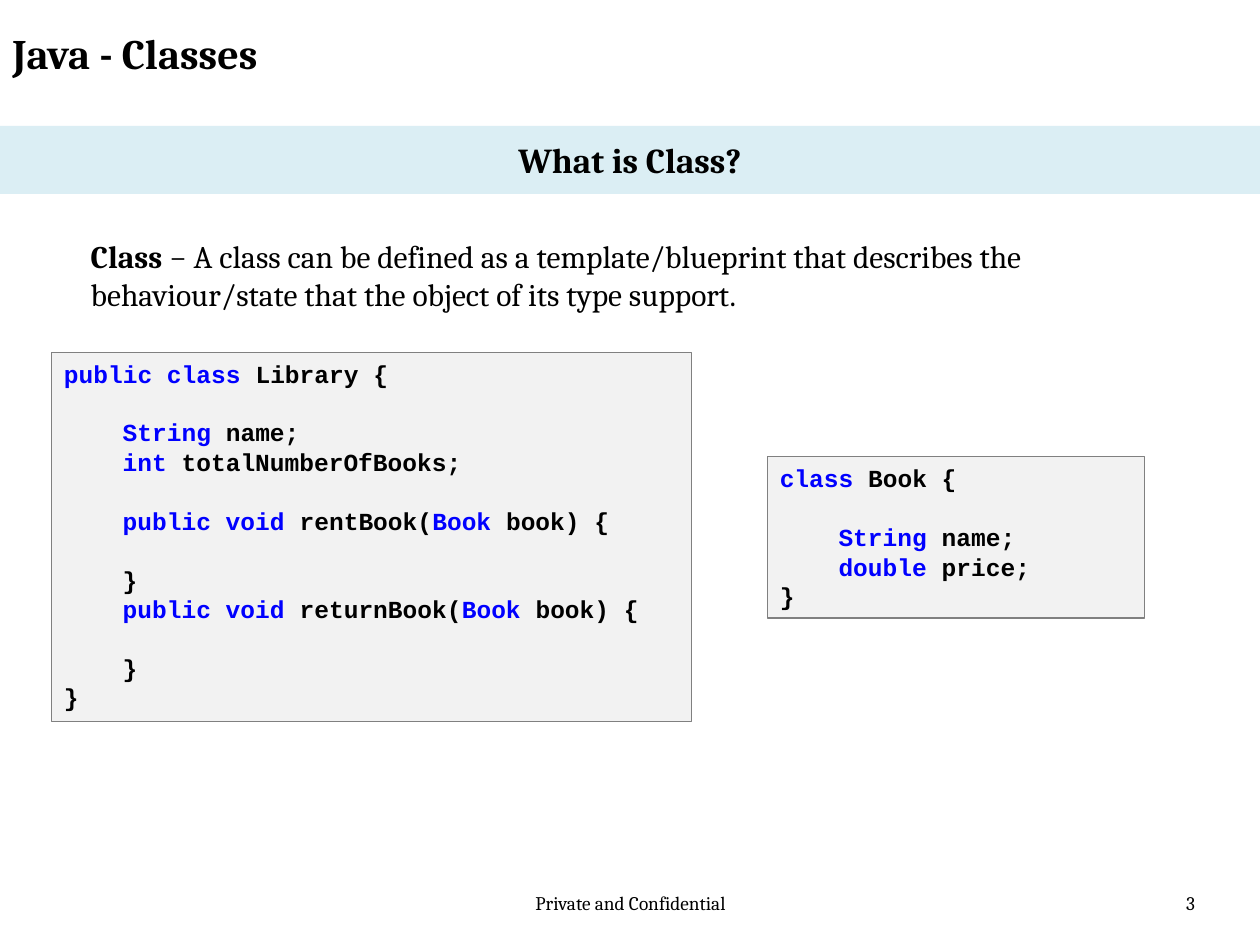
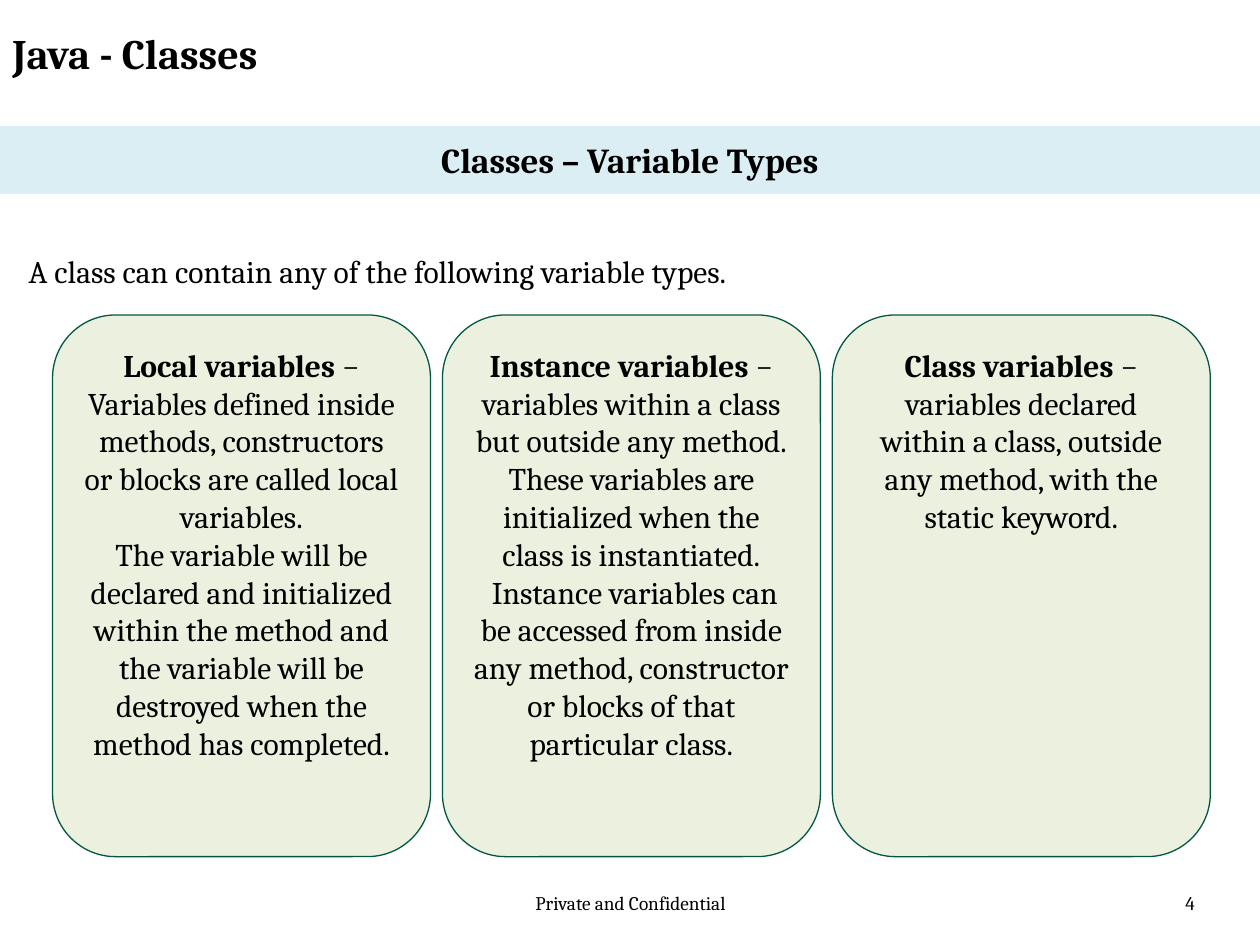
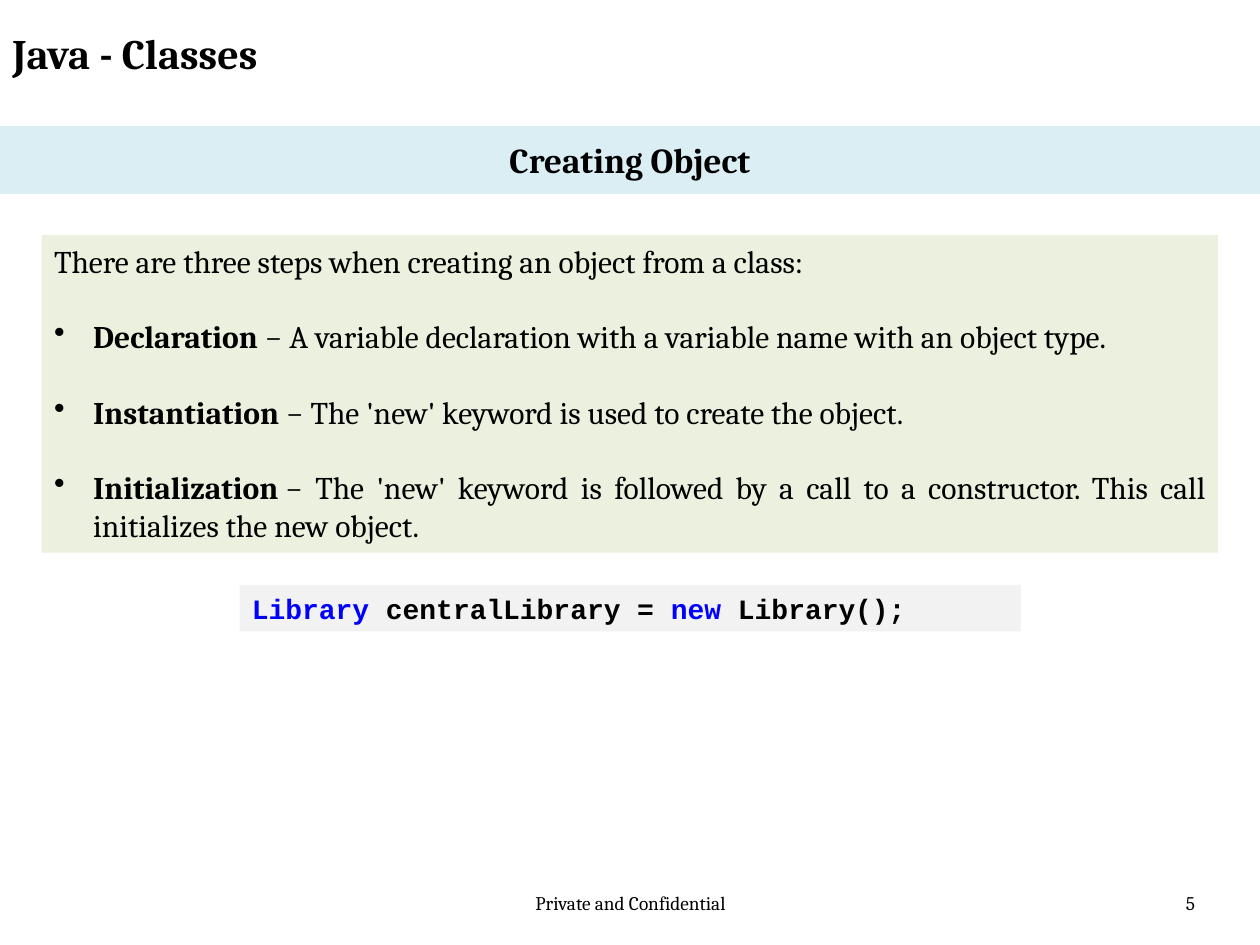
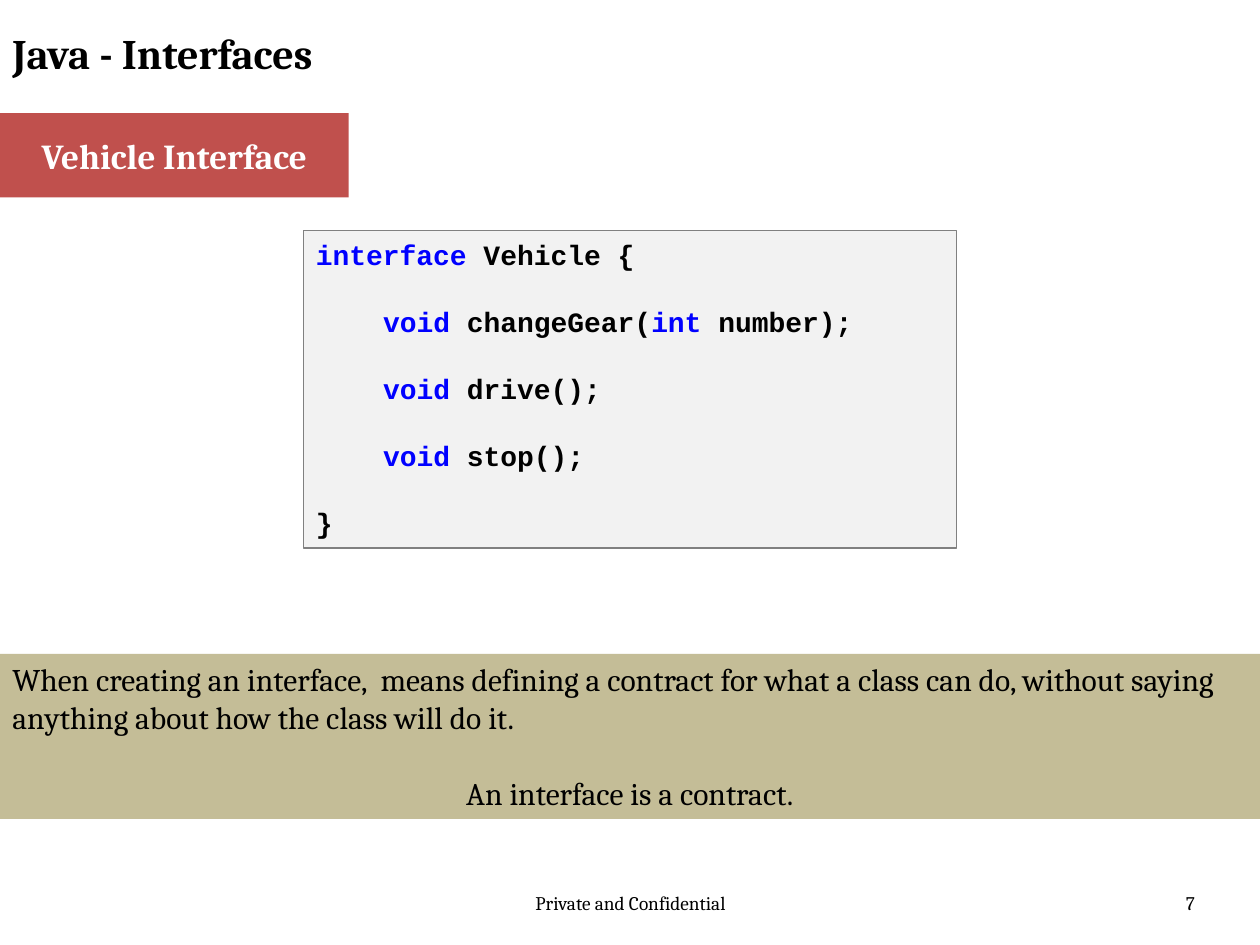
import pptx
import pptx.dml.color
import pptx.enum.shapes
import pptx.enum.text
import pptx.util
import lxml.etree
from pptx.oxml.ns import qn

Cm = pptx.util.Cm
RECTANGLE = pptx.enum.shapes.MSO_SHAPE.RECTANGLE
ROUNDED = pptx.enum.shapes.MSO_SHAPE.ROUNDED_RECTANGLE
LEFT, CENTER, RIGHT, JUSTIFY = (
    pptx.enum.text.PP_ALIGN.LEFT,
    pptx.enum.text.PP_ALIGN.CENTER,
    pptx.enum.text.PP_ALIGN.RIGHT,
    pptx.enum.text.PP_ALIGN.JUSTIFY,
)
TOP = pptx.enum.text.MSO_ANCHOR.TOP
MIDDLE = pptx.enum.text.MSO_ANCHOR.MIDDLE

# Shared colours, fonts and measures
BLACK, WHITE, KEYWORD = "000000", "FFFFFF", "0000FF"
BAND, CARD, CARD_LINE = "DBEEF4", "EBF1DE", "035642"
CODE, CODE_LINE = "F2F2F2", "808080"
RED, TAN = "C0504D", "C4BD97"
PROSE_FONT, CODE_FONT = "Cambria", "Courier New"
LINE_HEIGHT = 1.2
WIDTH, HEIGHT = 25.4, 19.05


def color(hex_string):
    return pptx.dml.color.RGBColor.from_string(hex_string)


def add_text(slide, box, lines, size=18, kind=None, fill=None, outline=None,
             font=PROSE_FONT, text_color=BLACK, bold=False, align=LEFT,
             anchor=TOP, margin=0.13):
    """Add a text box, or a shape of the given kind, with one paragraph a line.

    Parts between bars are bold in prose and keywords in code. An empty line
    becomes space before the next one, four leading spaces become an indent.
    """
    left, top, width, height = [Cm(length) for length in box]
    if kind is None:
        shape = slide.shapes.add_textbox(left, top, width, height)
    else:
        shape = slide.shapes.add_shape(kind, left, top, width, height)
        shape.shadow.inherit = False
        shape.fill.solid()
        shape.fill.fore_color.rgb = color(fill)
        if outline:
            shape.line.color.rgb = color(outline)
            shape.line.width = pptx.util.Pt(0.75)
        else:
            shape.line.fill.background()

    frame = shape.text_frame
    frame.word_wrap = True
    frame.vertical_anchor = anchor
    frame.margin_left = frame.margin_right = Cm(0.25)
    frame.margin_top = frame.margin_bottom = Cm(margin)

    paragraph, gap = frame.paragraphs[0], 0
    for line in lines:
        if not line:
            gap += LINE_HEIGHT * size
            continue
        if paragraph.runs:
            paragraph = frame.add_paragraph()
        paragraph.alignment = align
        paragraph.space_before = pptx.util.Pt(gap)
        gap = 0

        # Indents and bullets
        properties = paragraph._p.get_or_add_pPr()
        level = (len(line) - len(line.lstrip(" "))) // 4
        line = line[4 * level:]
        if level:
            properties.set("marL", str(pptx.util.Pt(2.4 * size * level)))
        if line.startswith("• "):
            line = line[2:]
            properties.set("marL", str(Cm(0.79)))
            properties.set("indent", str(-Cm(0.79)))
            lxml.etree.SubElement(properties, qn("a:buChar")).set("char", "•")

        paragraph.font.name = font
        paragraph.font.size = pptx.util.Pt(size)
        paragraph.font.bold = bold
        paragraph.font.color.rgb = color(text_color)
        for position, part in enumerate(line.split("|")):
            if not part:
                continue
            run = paragraph.add_run()
            run.text = part
            if position % 2 and font == CODE_FONT:
                run.font.color.rgb = color(KEYWORD)
            elif position % 2:
                run.font.bold = True
    return shape


presentation = pptx.Presentation()
presentation.slide_width = Cm(WIDTH)
presentation.slide_height = Cm(HEIGHT)

band_style = dict(size=20, kind=RECTANGLE, bold=True, align=CENTER, anchor=MIDDLE)
code_style = dict(kind=RECTANGLE, fill=CODE, font=CODE_FONT, bold=True)

# Title, band and footer of every slide
slides = []
for title, number, heading in [
    ("Java - Classes", 3, "What is Class?"),
    ("Java - Classes", 4, "Classes – Variable Types"),
    ("Java - Classes", 5, "Creating Object"),
    ("Java - Interfaces", 7, None),
]:
    slide = presentation.slides.add_slide(presentation.slide_layouts[6])
    slides.append(slide)
    add_text(slide, (8.69, 17.83, 8.05, 1.02), ["Private and Confidential"],
             size=11, align=CENTER)
    add_text(slide, (18.42, 17.83, 5.92, 1.02), [str(number)], size=11, align=RIGHT)
    add_text(slide, (0, 0.43, 19.25, 1.57), [title], size=24, bold=True)
    if heading:
        add_text(slide, (0, 2.54, WIDTH, 1.37), [heading], fill=BAND, **band_style)

class_slide, variable_slide, object_slide, interface_slide = slides

# What is a class: definition and two listings
add_text(class_slide, (1.58, 4.65, 22.23, 1.8), [
    "|Class|\u00a0− A class can be defined as a template/blueprint that describes "
    "the behaviour/state that the object of its type support.",
])
add_text(class_slide, (1.04, 7.1, 12.9, 7.44), [
    "|public class| Library {",
    "",
    "    |String| name;",
    "    |int| totalNumberOfBooks;",
    "",
    "    |public void| rentBook(|Book| book) {",
    "",
    "    }",
    "    |public void| returnBook(|Book| book) {",
    "",
    "    }",
    "}",
], size=14, outline=CODE_LINE, **code_style)
add_text(class_slide, (15.47, 9.21, 7.6, 3.25), [
    "|class| Book {",
    "",
    "    |String| name;",
    "    |double| price;",
    "}",
], size=14, outline=CODE_LINE, **code_style)

# Variable types: three cards
add_text(variable_slide, (0.33, 4.95, 23.7, 1.02),
         ["A class can contain any of the following variable types."], align=JUSTIFY)
cards = [
    ["|Local variables|\u00a0− Variables defined inside methods, constructors or "
     "blocks are called local variables.",
     "The variable will be declared and initialized within the method and the "
     "variable will be destroyed when the method has completed."],
    ["|Instance variables|\u00a0− variables within a class but outside any method.",
     "These variables are initialized when the class is instantiated.",
     " Instance variables can be accessed from inside any method, constructor or "
     "blocks of that particular class."],
    ["|Class variables|\u00a0− variables declared within a class, outside any "
     "method, with the static keyword."],
]
for column, lines in enumerate(cards):
    add_text(variable_slide, (1.06 + 7.86 * column, 6.35, 7.62, 10.92), lines,
             kind=ROUNDED, fill=CARD, outline=CARD_LINE, align=CENTER, margin=0.25)

# Creating an object: steps and an example
add_text(object_slide, (0.84, 4.74, 23.72, 6.4), [
    "There are three steps when creating an object from a class:",
    "",
    "• |Declaration|\u00a0− A variable declaration with a variable name with an "
    "object type.",
    "",
    "• |Instantiation|\u00a0− The 'new' keyword is used to create the object.",
    "",
    "• |Initialization|\u00a0− The 'new' keyword is followed by a call to a "
    "constructor. This call initializes the new object.",
], kind=RECTANGLE, fill=CARD, align=JUSTIFY)
add_text(object_slide, (4.83, 11.79, 15.75, 0.94),
         ["|Library| centralLibrary = |new| Library();"], size=16, **code_style)

# Vehicle interface: heading, listing and summary
add_text(interface_slide, (0, 2.28, 7.03, 1.7), ["Vehicle Interface"],
         fill=RED, text_color=WHITE, **band_style)
add_text(interface_slide, (6.12, 4.65, 13.16, 6.4), [
    "|interface| Vehicle {",
    "",
    "    |void| changeGear(|int| number);",
    "",
    "    |void| drive();",
    "",
    "    |void| stop();",
    "",
    "}",
], size=16, outline=CODE_LINE, **code_style)
summary = add_text(interface_slide, (0, 13.18, WIDTH, 3.33), [
    "When creating an interface,  means defining a contract for what a class can "
    "do, without saying anything about how the class will do it.",
    "",
    "An interface is a contract.",
], kind=RECTANGLE, fill=TAN)
summary.text_frame.paragraphs[-1].alignment = CENTER

presentation.save("out.pptx")
